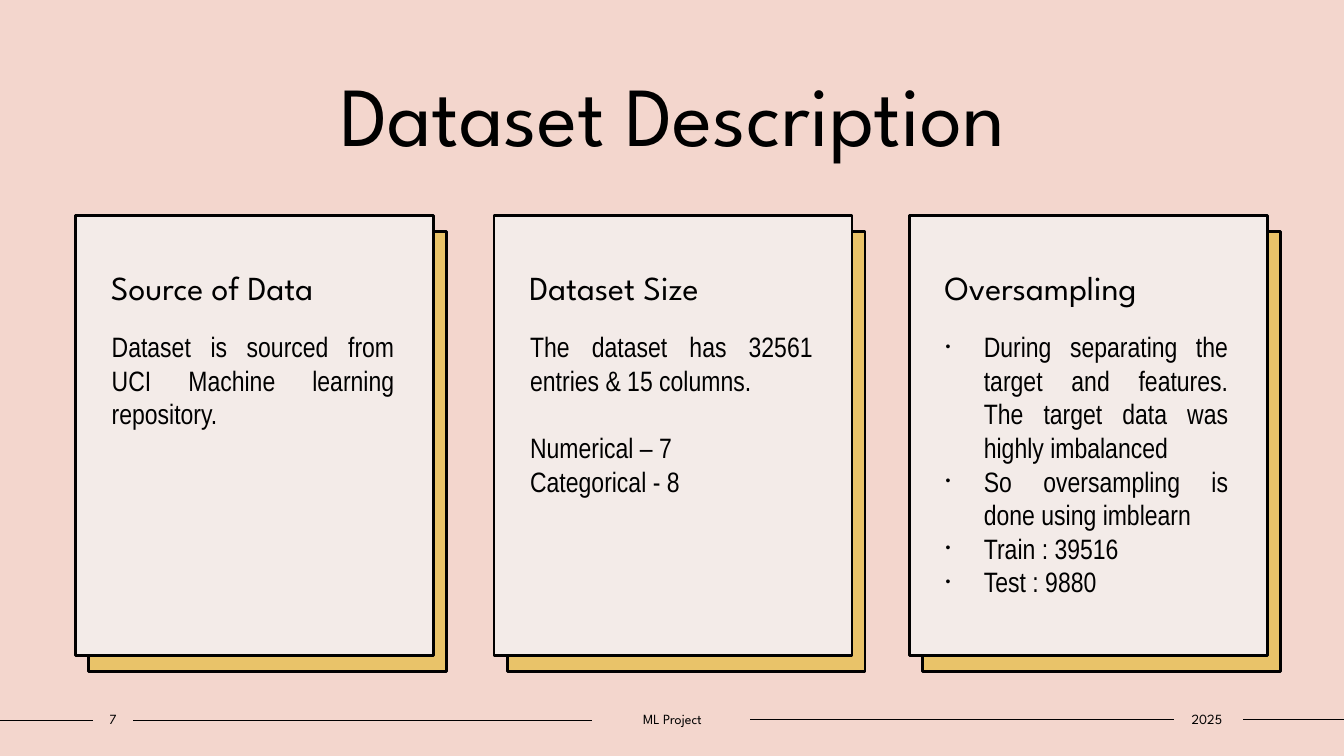
from pptx import Presentation
from pptx.dml.color import RGBColor
from pptx.enum.shapes import MSO_CONNECTOR, MSO_SHAPE
from pptx.enum.text import MSO_ANCHOR, PP_ALIGN
from pptx.oxml.ns import qn
from pptx.util import Inches, Pt
from lxml.etree import SubElement

W, H = 13.33, 7.5
HEAD, BODY = "League Spartan", "Arial Narrow"
INK, PINK, PAPER, GOLD = "000000", "F3D6CD", "F3EBE8", "E9C369"

TITLE = "Dataset Description"
CARDS = [
    {"left": 0.75, "head": "Source of Data", "bullets": False,
     "text": [("Dataset is sourced from UCI Machine learning repository.", 0)]},
    {"left": 4.9, "head": "Dataset Size", "bullets": False,
     "text": [("The dataset has 32561 entries & 15 columns.", 0),
              ("Numerical – 7", 24),
              ("Categorical - 8", 0)]},
    {"left": 9.02, "head": "Oversampling", "bullets": True,
     "text": [("During separating the target and features. "
               "The target data was highly imbalanced", 0),
              ("So oversampling is done using imblearn", 0),
              ("Train : 39516", 0),
              ("Test : 9880", 0)]},
]
FOOTER = [("7", 0.92, 0.4), ("ML Project", 5.87, 1.6), ("2025", 11.62, 0.7)]
RULES = [(0, 0.92, 7.15), (1.32, 5.87, 7.15), (7.44, 11.64, 7.14), (12.33, W, 7.14)]

CARD_TOP, CARD_W, CARD_H = 2.14, 3.55, 4.36
BACK_DX, BACK_DY = 0.13, 0.16
TEXT_DX, TEXT_DY, TEXT_W, TEXT_H = 0.26, 1.08, 3, 3.05


def rgb(code):
    return RGBColor.from_string(code)


def box(x, y, w, h):
    return [Inches(v) for v in (x, y, w, h)]


def set_frame(tf, anchor, insets=(0.1, 0.05, 0.1, 0.05)):
    tf.word_wrap = True
    tf.vertical_anchor = anchor
    tf.margin_left, tf.margin_top, tf.margin_right, tf.margin_bottom = box(*insets)


def write(p, text, size, font, align):
    p.alignment = align
    r = p.add_run()
    r.text = text
    r.font.size = Pt(size)
    r.font.name = font
    r.font.color.rgb = rgb(INK)


def add_bullet(p):
    pPr = p._p.get_or_add_pPr()
    pPr.set("marL", str(Inches(0.38)))
    pPr.set("indent", str(-Inches(0.38)))
    SubElement(pPr, qn("a:buSzPct")).set("val", "50000")
    SubElement(pPr, qn("a:buFont")).set("typeface", "Arial")
    SubElement(pPr, qn("a:buChar")).set("char", "•")


def add_rule(s, x1, x2, y):
    c = s.shapes.add_connector(MSO_CONNECTOR.STRAIGHT, *box(x1, y, x2, y))
    c.line.color.rgb = rgb(INK)
    c.line.width = Pt(1)
    SubElement(c._element.spPr, qn("a:effectLst"))


def add_panel(s, x, y, fill):
    sp = s.shapes.add_shape(MSO_SHAPE.RECTANGLE, *box(x, y, CARD_W, CARD_H))
    sp.shadow.inherit = False
    sp.fill.solid()
    sp.fill.fore_color.rgb = rgb(fill)
    sp.line.color.rgb = rgb(INK)
    sp.line.width = Pt(2)
    return sp


def add_card(s, card):
    x = card["left"]
    add_panel(s, x + BACK_DX, CARD_TOP + BACK_DY, GOLD)
    tf = add_panel(s, x, CARD_TOP, PAPER).text_frame
    set_frame(tf, MSO_ANCHOR.TOP, (0.35, 0.55, 0.1, 0.05))
    p = tf.paragraphs[0]
    p.line_spacing = 0.9
    p.space_before = Pt(10)
    write(p, card["head"], 24, HEAD, PP_ALIGN.LEFT)

    sp = s.shapes.add_textbox(*box(x + TEXT_DX, CARD_TOP + TEXT_DY, TEXT_W, TEXT_H))
    tf = sp.text_frame
    set_frame(tf, MSO_ANCHOR.TOP)
    for i, (text, gap) in enumerate(card["text"]):
        p = tf.add_paragraph() if i else tf.paragraphs[0]
        p.space_before = Pt(gap)
        write(p, text, 20, BODY, PP_ALIGN.JUSTIFY)
        if card["bullets"]:
            add_bullet(p)


def main():
    prs = Presentation()
    prs.slide_width, prs.slide_height = Inches(W), Inches(H)
    s = prs.slides.add_slide(prs.slide_layouts[5])
    s.background.fill.solid()
    s.background.fill.fore_color.rgb = rgb(PINK)

    title = s.shapes.title
    title.left, title.top, title.width, title.height = box(1.25, 0.56, 10.84, 1.11)
    set_frame(title.text_frame, MSO_ANCHOR.BOTTOM)
    write(title.text_frame.paragraphs[0], TITLE, 60, HEAD, PP_ALIGN.CENTER)

    for rule in RULES:
        add_rule(s, *rule)
    for card in CARDS:
        add_card(s, card)
    for text, x, w in FOOTER:
        tf = s.shapes.add_textbox(*box(x, 7, w, 0.27)).text_frame
        set_frame(tf, MSO_ANCHOR.MIDDLE, (0, 0.05, 0, 0.05))
        write(tf.paragraphs[0], text, 10, HEAD, PP_ALIGN.CENTER)

    prs.save("out.pptx")


if __name__ == "__main__":
    main()
